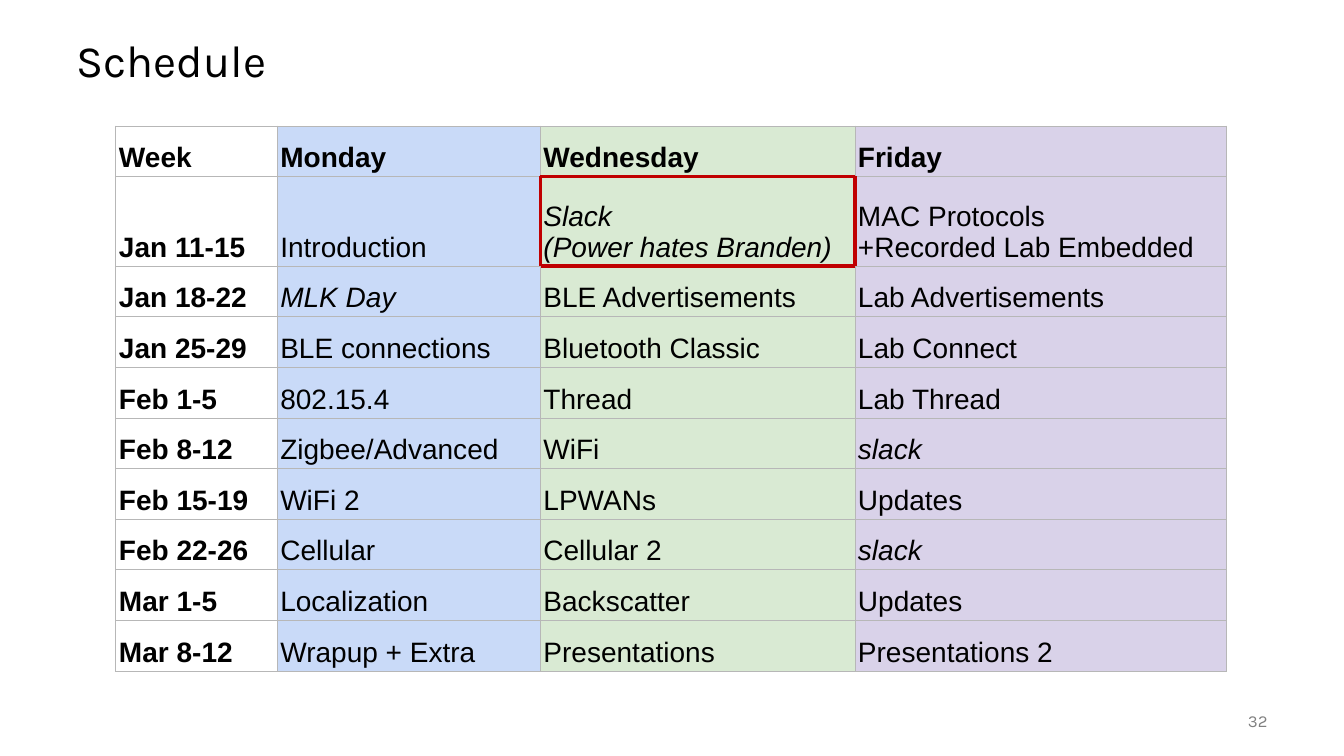
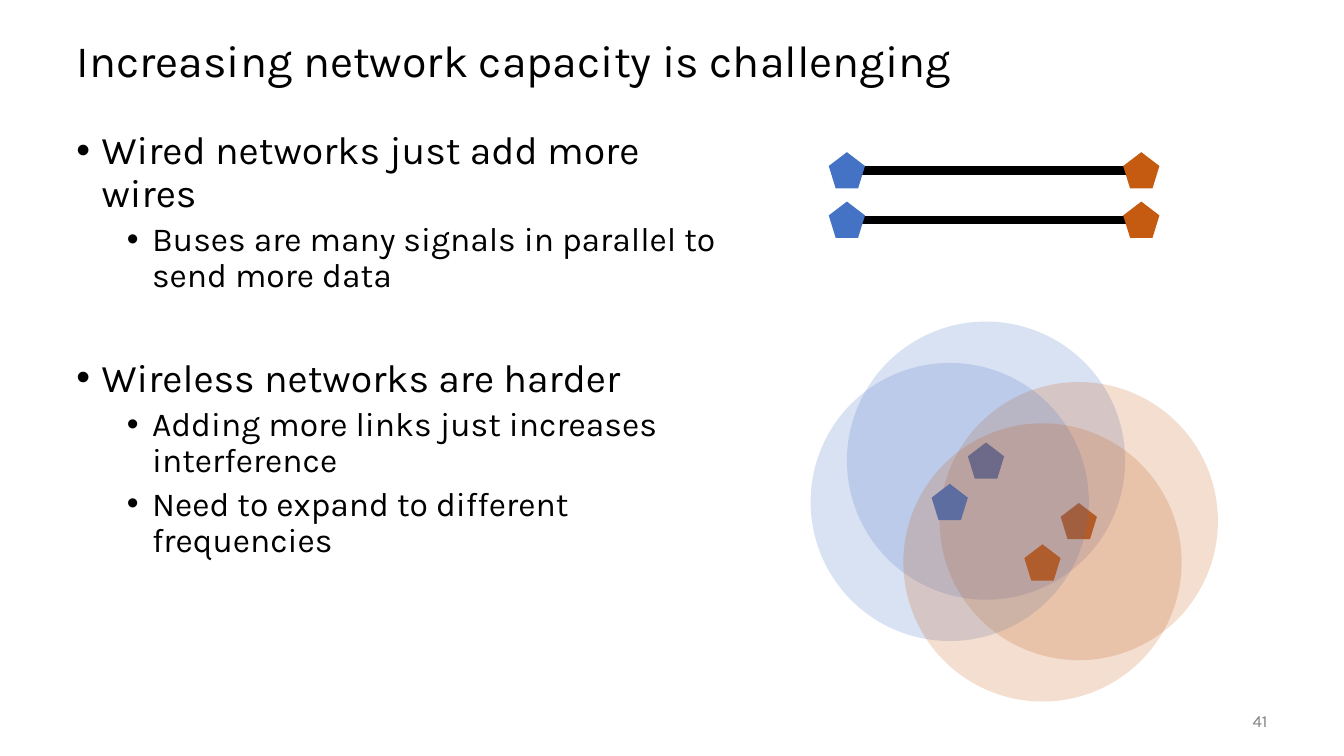
"""Build two lecture slides: a course schedule and a network capacity comparison."""
from lxml.etree import SubElement
from pptx import Presentation
from pptx.dml.color import RGBColor
from pptx.enum.shapes import MSO_CONNECTOR, MSO_SHAPE
from pptx.enum.text import MSO_ANCHOR, MSO_AUTO_SIZE, PP_ALIGN
from pptx.oxml.ns import qn
from pptx.util import Pt

PX = 9144
COLORS = {
    "text": "000000", "number": "808080", "grid": "B7B7B7", "change": "C00000",
    "monday": "C9DAF8", "wednesday": "D9EAD3", "friday": "D9D2E9",
    "blue": "4472C4", "orange": "C55A11",
}
HEADING_FONT, TABLE_FONT = "Karla", "Arial"

prs = Presentation()
prs.slide_width, prs.slide_height = 1333 * PX, 750 * PX


def add_run(paragraph, text, size, font=HEADING_FONT, color="text"):
    run = paragraph.add_run()
    run.text = text
    run.font.size = Pt(size)
    run.font.name = font
    run.font.color.rgb = RGBColor.from_string(COLORS[color])
    return run


def start_slide(heading, number):
    slide = prs.slides.add_slide(prs.slide_layouts[5])
    title = slide.shapes.title
    title.left, title.top, title.width, title.height = 66 * PX, 25 * PX, 1200 * PX, 75 * PX
    title.text_frame.auto_size = MSO_AUTO_SIZE.NONE
    title.text_frame.vertical_anchor = MSO_ANCHOR.MIDDLE
    heading_line = title.text_frame.paragraphs[0]
    heading_line.alignment = PP_ALIGN.LEFT
    heading_line.line_spacing = 0.9
    add_run(heading_line, heading, 32)

    page = slide.shapes.add_textbox(1167 * PX, 695 * PX, 100 * PX, 40 * PX).text_frame
    page.word_wrap = True
    page.vertical_anchor = MSO_ANCHOR.MIDDLE
    page.paragraphs[0].alignment = PP_ALIGN.RIGHT
    add_run(page.paragraphs[0], number, 12, color="number")
    return slide


schedule = [
    ["Week", "Monday", "Wednesday", "Friday"],
    ["Jan 11-15", "Introduction", "Slack\n(Power hates Branden)",
     "MAC Protocols\n+Recorded Lab Embedded"],
    ["Jan 18-22", "MLK Day", "BLE Advertisements", "Lab Advertisements"],
    ["Jan 25-29", "BLE connections", "Bluetooth Classic", "Lab Connect"],
    ["Feb 1-5", "802.15.4", "Thread", "Lab Thread"],
    ["Feb 8-12", "Zigbee/Advanced", "WiFi", "slack"],
    ["Feb 15-19", "WiFi 2", "LPWANs", "Updates"],
    ["Feb 22-26", "Cellular", "Cellular 2", "slack"],
    ["Mar 1-5", "Localization", "Backscatter", "Updates"],
    ["Mar 8-12", "Wrapup + Extra", "Presentations", "Presentations 2"],
]
day_fills = [None, "monday", "wednesday", "friday"]
days_off = {(1, 2), (2, 1), (5, 3), (7, 3)}
changed_day = (1, 2)
neighbours = {"lnL": (0, -1), "lnR": (0, 1), "lnT": (-1, 0), "lnB": (1, 0)}
table_height, tall_row = 541, 89

schedule_slide = start_slide("Schedule", "32")
calendar = schedule_slide.shapes.add_table(
    len(schedule), len(day_fills), 115 * PX, 125 * PX, 1101 * PX, table_height * PX).table
calendar.first_row = calendar.horz_banding = False
for column, width in zip(calendar.columns, [160, 261, 312, 368]):
    column.width = width * PX
for row in calendar.rows:
    row.height = (table_height - tall_row) * PX // (len(schedule) - 1)
calendar.rows[1].height = tall_row * PX

for r, week in enumerate(schedule):
    for c, entry in enumerate(week):
        cell = calendar.cell(r, c)
        cell.vertical_anchor = MSO_ANCHOR.BOTTOM
        cell.margin_left = cell.margin_right = cell.margin_top = cell.margin_bottom = 3 * PX
        for side, (dr, dc) in neighbours.items():
            changed = changed_day in ((r, c), (r + dr, c + dc))
            edge = SubElement(cell._tc.get_or_add_tcPr(), qn(f"a:{side}"),
                              w=str(Pt(3 if changed else 0.75)))
            paint = SubElement(edge, qn("a:solidFill"))
            SubElement(paint, qn("a:srgbClr"), val=COLORS["change" if changed else "grid"])
        if day_fills[c]:
            cell.fill.solid()
            cell.fill.fore_color.rgb = RGBColor.from_string(COLORS[day_fills[c]])
        else:
            cell.fill.background()
        paragraph = cell.text_frame.paragraphs[0]
        for i, line in enumerate(entry.split("\n")):
            if i:
                paragraph.add_line_break()
            run = add_run(paragraph, line, 20, TABLE_FONT)
            run.font.bold = r == 0 or c == 0
            run.font.italic = (r, c) in days_off

capacity_slide = start_slide("Increasing network capacity is challenging", "41")
points = [
    (0, 0, "Wired networks just add more wires"),
    (1, 5, "Buses are many signals in parallel to send more data"),
    (0, 45, "Wireless networks are harder"),
    (1, 5, "Adding more links just increases interference"),
    (1, 5, "Need to expand to different frequencies"),
]
argument = capacity_slide.shapes.add_textbox(66 * PX, 125 * PX, 680 * PX, 550 * PX).text_frame
argument.word_wrap = True
for i, (level, space, point) in enumerate(points):
    paragraph = argument.add_paragraph() if i else argument.paragraphs[0]
    paragraph.level = level
    properties = paragraph._p.get_or_add_pPr()
    properties.set("marL", str((25 + 50 * level) * PX))
    properties.set("indent", str(-25 * PX))
    SubElement(properties, qn("a:buFont"), typeface="Arial")
    SubElement(properties, qn("a:buChar"), char="•")
    paragraph.line_spacing = 0.9
    paragraph.space_before = Pt(space)
    add_run(paragraph, point, 28 - 4 * level)

node_size, range_size = 36, 276
links = [
    (169, (978, 457), (1070, 517)),
    (218, (942, 498), (1034, 558)),
]
for wire_y, sender, receiver in links:
    wire = capacity_slide.shapes.add_connector(
        MSO_CONNECTOR.STRAIGHT, 840 * PX, wire_y * PX, 1135 * PX, wire_y * PX)
    wire.line.color.rgb = RGBColor.from_string(COLORS["text"])
    wire.line.width = Pt(6)
    SubElement(wire._element.spPr, qn("a:effectLst"))

    marks = [
        (MSO_SHAPE.REGULAR_PENTAGON, (840, wire_y), node_size, "blue", 100),
        (MSO_SHAPE.REGULAR_PENTAGON, (1132, wire_y), node_size, "orange", 100),
        (MSO_SHAPE.REGULAR_PENTAGON, sender, node_size, "blue", 100),
        (MSO_SHAPE.REGULAR_PENTAGON, receiver, node_size, "orange", 100),
        (MSO_SHAPE.OVAL, sender, range_size, "blue", 20),
        (MSO_SHAPE.OVAL, receiver, range_size, "orange", 20),
    ]
    for kind, (x, y), size, color, opacity in marks:
        mark = capacity_slide.shapes.add_shape(
            kind, (x - size // 2) * PX, (y - size // 2) * PX, size * PX, size * PX)
        mark.shadow.inherit = False
        mark.line.fill.background()
        mark.fill.solid()
        mark.fill.fore_color.rgb = RGBColor.from_string(COLORS[color])
        if opacity < 100:
            tint = mark._element.spPr.find(qn("a:solidFill"))[0]
            SubElement(tint, qn("a:alpha"), val=str(opacity * 1000))

prs.save("out.pptx")
